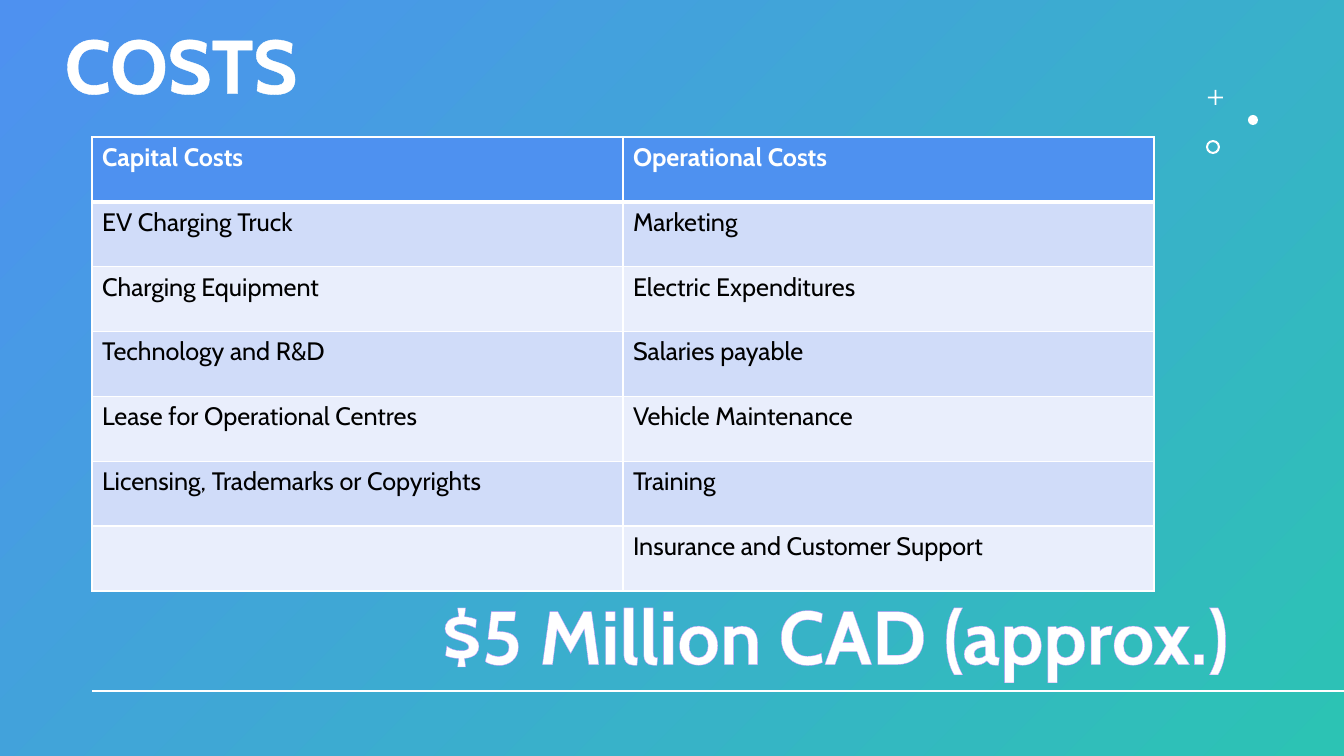
from lxml import etree
from pptx import Presentation
from pptx.dml.color import RGBColor
from pptx.enum.dml import MSO_PATTERN
from pptx.enum.shapes import MSO_CONNECTOR, MSO_SHAPE
from pptx.enum.text import MSO_ANCHOR
from pptx.oxml.ns import qn
from pptx.util import Pt

RECTANGLE, CROSS = MSO_SHAPE.RECTANGLE, MSO_SHAPE.CROSS
OVAL, DONUT = MSO_SHAPE.OVAL, MSO_SHAPE.DONUT
STRAIGHT = MSO_CONNECTOR.STRAIGHT
BOTTOM, TOP = MSO_ANCHOR.BOTTOM, MSO_ANCHOR.TOP
DIAGONAL = MSO_PATTERN.LIGHT_DOWNWARD_DIAGONAL

# Content
TITLE = "COSTS"
TOTAL = "$5 Million CAD (approx.)"
COSTS = [
    ("Capital Costs", "Operational Costs"),
    ("EV Charging Truck", "Marketing"),
    ("Charging Equipment", "Electric Expenditures"),
    ("Technology and R&D", "Salaries payable"),
    ("Lease for Operational Centres", "Vehicle Maintenance"),
    ("Licensing, Trademarks or Copyrights", "Training"),
    ("", "Insurance and Customer Support"),
]

# Format
WHITE, BLACK, BLUE, TEAL = "FFFFFF", "000000", "4E91F0", "2CC3B4"
LILAC, PURPLE = "D9C1FB", "C097F8"
BANDS = ("E9EEFC", "D0DCF9")
HEADLINE = {"name": "Cabin", "size": Pt(54), "bold": True}
HEADER = {"name": "Cabin", "size": Pt(18), "bold": True}
BODY = {**HEADER, "bold": False}

# Layout in px: left, top, width, height
SLIDE = (0, 0, 1344, 756)
TITLE_BOX = (55, -12, 1098, 127)
TABLE_BOX = (92, 137, 1062, 454)
TOTAL_BOX = (432, 584, 912, 102)
RULE_LEFT, RULE_TOP = 92, 691
ORNAMENTS = [
    (CROSS, (1208, 90, 15, 15), 0.44),
    (OVAL, (1248, 115, 10, 10), None),
    (DONUT, (1206, 140, 14, 14), 0.15),
]
EMU_PER_PX = 914400 / 100.8


def px(*lengths):
    return [round(length * EMU_PER_PX) for length in lengths]


def color(code):
    return RGBColor.from_string(code)


def set_format(target, values):
    for name, value in values.items():
        setattr(target, name, value)


def make_line(tag, code, points):
    line = etree.Element(qn(tag), w=str(Pt(points)))
    solid = etree.SubElement(line, qn("a:solidFill"))
    etree.SubElement(solid, qn("a:srgbClr"), val=code)
    return line


def add_shape(page, kind, box, code=None):
    shape = page.shapes.add_shape(kind, *px(*box))
    shape.shadow.inherit = False
    shape.line.fill.background()
    if code:
        shape.fill.solid()
        shape.fill.fore_color.rgb = color(code)
    return shape


def add_headline(page, text, box, anchor, outline):
    frame = page.shapes.add_textbox(*px(*box)).text_frame
    set_format(frame, {"word_wrap": True, "vertical_anchor": anchor})
    para = frame.paragraphs[0]
    span = para.add_run()
    span.text = text
    set_format(span.font, HEADLINE)
    span.font.fill.solid()
    span.font.color.rgb = color(WHITE)
    span.font._element.insert(0, make_line("a:ln", outline, 1))
    return para, span


def fill_cell(cell, text, row):
    cell.fill.solid()
    cell.fill.fore_color.rgb = color(BANDS[row % 2] if row else BLUE)
    widths = {"a:lnL": 1, "a:lnR": 1, "a:lnT": 3 if row == 1 else 1,
              "a:lnB": 1 if row else 3}
    properties = cell._tc.get_or_add_tcPr()
    for place, (tag, points) in enumerate(widths.items()):
        properties.insert(place, make_line(tag, WHITE, points))
    if text:
        span = cell.text_frame.paragraphs[0].add_run()
        span.text = text
        set_format(span.font, BODY if row else HEADER)
        span.font.color.rgb = color(BLACK if row else WHITE)


def main():
    deck = Presentation()
    deck.slide_width, deck.slide_height = px(*SLIDE[2:])
    page = deck.slides.add_slide(deck.slide_layouts[6])

    # Gradient backdrop, blue at top left to teal at bottom right
    fill = add_shape(page, RECTANGLE, SLIDE).fill
    fill.gradient()
    fill.gradient_angle = 315
    for stop, code in zip(fill.gradient_stops, (BLUE, TEAL)):
        stop.color.rgb = color(code)

    # Ornaments
    for kind, box, adjustment in ORNAMENTS:
        shape = add_shape(page, kind, box, WHITE)
        if adjustment:
            shape.adjustments[0] = adjustment

    # Bottom rule
    rule = page.shapes.add_connector(
        STRAIGHT, *px(SLIDE[2], RULE_TOP, RULE_LEFT, RULE_TOP))
    rule.line.color.rgb = color(WHITE)
    rule.line.width = Pt(2)
    etree.SubElement(rule._element.spPr, qn("a:effectLst"))

    # Title
    para, _ = add_headline(page, TITLE, TITLE_BOX, BOTTOM, WHITE)
    set_format(para, {"line_spacing": 0.9, "space_after": Pt(6)})

    # Cost table
    table = page.shapes.add_table(
        len(COSTS), len(COSTS[0]), *px(*TABLE_BOX)).table
    for row, texts in enumerate(COSTS):
        for column, text in enumerate(texts):
            fill_cell(table.cell(row, column), text, row)

    # Total, with a patterned letter fill
    _, span = add_headline(page, TOTAL, TOTAL_BOX, TOP, PURPLE)
    pattern = span.font.fill
    pattern.patterned()
    pattern.pattern = DIAGONAL
    pattern.fore_color.rgb = color(LILAC)
    pattern.back_color.rgb = color(WHITE)

    deck.save("out.pptx")


if __name__ == "__main__":
    main()
